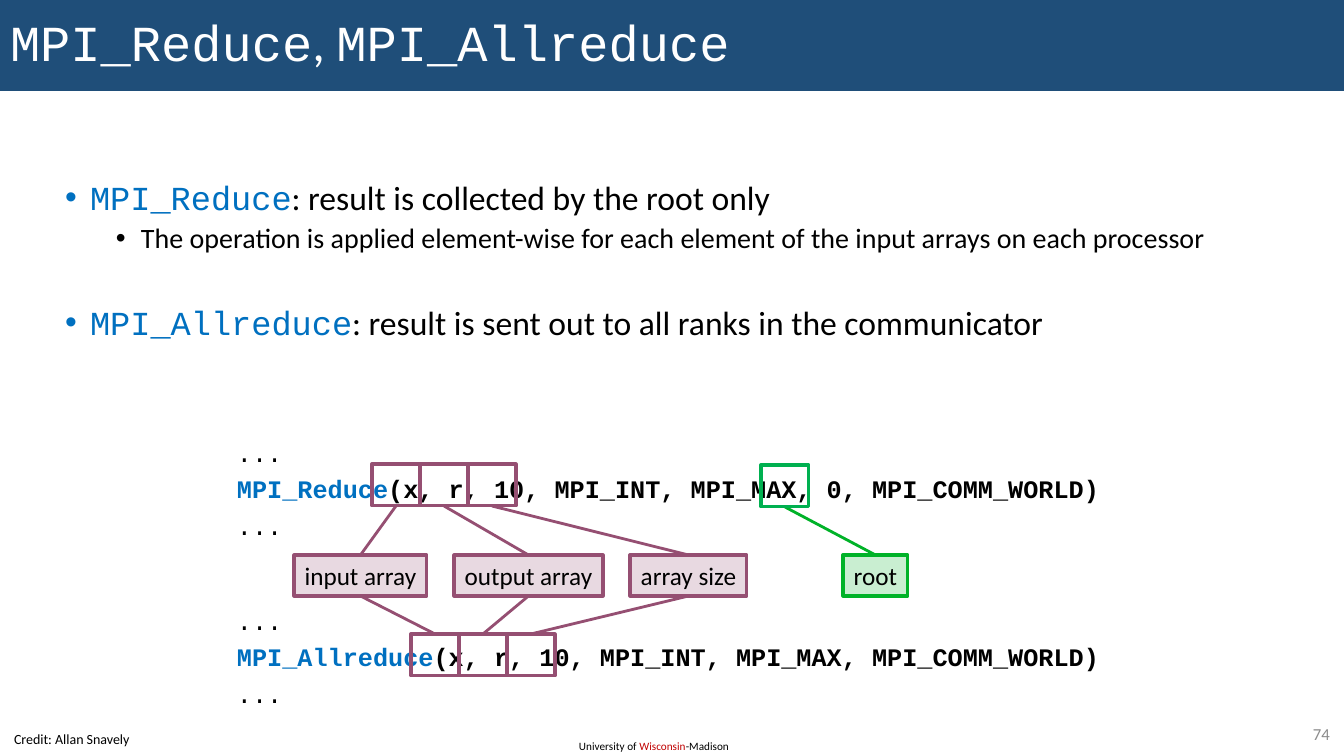
import pptx
import pptx.dml.color
import pptx.enum.shapes
import pptx.enum.text
import pptx.oxml.ns
import pptx.util
from lxml import etree

PX = 914400 / 100.8
SANS, MONO = "Calibri", "Courier New"
BLACK, WHITE, BLUE, NAVY = "000000", "FFFFFF", "0070C0", "1F4E79"
PLUM, GREEN, ROOT_CELL_GREEN = "954F72", "00B228", "00B050"
ALIGN = pptx.enum.text.PP_ALIGN
ANCHOR = pptx.enum.text.MSO_ANCHOR
qn = pptx.oxml.ns.qn


def px(*lengths):
    return [round(length * PX) for length in lengths]


def color(target, hex_code):
    target.rgb = pptx.dml.color.RGBColor.from_string(hex_code)


def fill_solid(shape, hex_code):
    shape.fill.solid()
    color(shape.fill.fore_color, hex_code)


def write(paragraph, pieces, size):
    """Add runs given as (text, font, colour, bold)."""
    for text, font, hex_code, bold in pieces:
        run = paragraph.add_run()
        run.text = text
        run.font.name = font
        run.font.size = pptx.util.Pt(size)
        run.font.bold = bold
        color(run.font.color, hex_code)


def place(shape, box):
    shape.left, shape.top, shape.width, shape.height = px(*box)


def set_frame(frame, margins=(10, 5), wrap=True, anchor=ANCHOR.TOP):
    frame.word_wrap = wrap
    frame.auto_size = pptx.enum.text.MSO_AUTO_SIZE.NONE
    frame.vertical_anchor = anchor
    frame.margin_left, frame.margin_top = px(*margins)
    frame.margin_right, frame.margin_bottom = px(*margins)


def add_note(slide, box, pieces, size, align=ALIGN.LEFT, anchor=ANCHOR.TOP):
    frame = slide.shapes.add_textbox(*px(*box)).text_frame
    set_frame(frame, anchor=anchor, wrap=False)
    frame.paragraphs[0].alignment = align
    write(frame.paragraphs[0], pieces, size)


def add_title(slide, box):
    title = slide.shapes.title
    place(title, box)
    fill_solid(title, NAVY)
    set_frame(title.text_frame, anchor=ANCHOR.MIDDLE)
    heading = title.text_frame.paragraphs[0]
    heading.alignment = ALIGN.LEFT
    heading.line_spacing = 0.9
    write(heading, [("MPI_Reduce", MONO, WHITE, False), (", ", SANS, WHITE, False),
                    ("MPI_Allreduce", MONO, WHITE, False)], 36)


def add_bullets(slide, box):
    body = slide.placeholders[1]
    place(body, box)
    set_frame(body.text_frame)
    # level, size, space before, indent, pieces
    points = [
        (0, 24, 0, 25, [("MPI_Reduce", MONO, BLUE, False),
                        (": result is collected by the root only", SANS, BLACK, False)]),
        (1, 20, 5, 76, [("The operation is applied element-wise for each element of the "
                         "input arrays on each processor", SANS, BLACK, False)]),
        (0, 24, 37, 25, [("MPI_Allreduce", MONO, BLUE, False),
                         (": result is sent out to all ranks in the communicator",
                          SANS, BLACK, False)]),
    ]
    for index, (level, size, before, indent, pieces) in enumerate(points):
        frame = body.text_frame
        point = frame.paragraphs[0] if index == 0 else frame.add_paragraph()
        point.level = level
        point.alignment = ALIGN.LEFT
        point.line_spacing = 0.9
        point.space_before = pptx.util.Pt(before)
        properties = point._p.get_or_add_pPr()
        properties.set("marL", str(px(indent)[0]))
        properties.set("indent", str(px(-25)[0]))
        etree.SubElement(properties, qn("a:buFont"), typeface="Arial")
        etree.SubElement(properties, qn("a:buChar"), char="•")
        write(point, pieces, size)


def add_code(slide, box, function, arguments):
    frame = slide.shapes.add_textbox(*px(*box)).text_frame
    set_frame(frame, margins=(0, 0))
    ellipsis = [("...", MONO, BLACK, False)]
    call = [(function, MONO, BLUE, True), (arguments, MONO, BLACK, True)]
    for index, pieces in enumerate([ellipsis, call, ellipsis]):
        line = frame.paragraphs[0] if index == 0 else frame.add_paragraph()
        line.space_before = pptx.util.Pt(4.5 if index else 0)
        write(line, pieces, 18)


def add_frame_box(slide, box, hex_code):
    shape = slide.shapes.add_shape(pptx.enum.shapes.MSO_SHAPE.RECTANGLE, *px(*box))
    shape.shadow.inherit = False
    shape.fill.background()
    shape.line.width = pptx.util.Pt(2.25)
    color(shape.line.color, hex_code)
    return shape


def add_label(slide, box, text, hex_code):
    label = add_frame_box(slide, box, hex_code)
    fill_solid(label, hex_code)
    tint = label.fill._xPr.find(qn("a:solidFill"))[0]
    etree.SubElement(tint, qn("a:alpha"), val="21000")
    set_frame(label.text_frame, wrap=False, anchor=ANCHOR.MIDDLE)
    label.text_frame.paragraphs[0].alignment = ALIGN.CENTER
    write(label.text_frame.paragraphs[0], [(text, SANS, BLACK, False)], 18)


def link(slide, upper, lower, hex_code):
    """Join the bottom centre of one box to the top centre of another."""
    line = slide.shapes.add_connector(
        pptx.enum.shapes.MSO_CONNECTOR.STRAIGHT,
        *px(upper[0] + upper[2] / 2, upper[1] + upper[3], lower[0] + lower[2] / 2, lower[1]))
    line.line.width = pptx.util.Pt(2)
    color(line.line.color, hex_code)
    etree.SubElement(line._element.spPr, qn("a:effectLst"))


def add_call_diagram(slide, box):
    left, top, width, _ = box
    add_code(slide, (left, top, width, 100), "MPI_Reduce",
             "(x, r, 10, MPI_INT, MPI_MAX, 0, MPI_COMM_WORLD)")
    add_code(slide, (left, top + 168, width, 100), "MPI_Allreduce",
             "(x, r, 10, MPI_INT, MPI_MAX, MPI_COMM_WORLD)")

    # Shared arguments, marked in both calls
    cell_width, cell_height = 48, 42
    label_top, label_height = top + 118, 41
    labels = [("input array", 57, 133), ("output array", 217, 149), ("array size", 393, 117)]
    for index, (text, offset, label_width) in enumerate(labels):
        step = index * cell_width
        reduce_cell = (left + 135 + step, top + 27, cell_width, cell_height)
        allreduce_cell = (left + 174 + step, top + 197, cell_width, cell_height)
        label_box = (left + offset, label_top, label_width, label_height)
        link(slide, reduce_cell, label_box, PLUM)
        link(slide, label_box, allreduce_cell, PLUM)
        add_label(slide, label_box, text, PLUM)
        add_frame_box(slide, reduce_cell, PLUM)
        add_frame_box(slide, allreduce_cell, PLUM)

    # Root, only in MPI_Reduce
    root_cell = (left + 524, top + 28, cell_width, cell_height)
    root_label = (left + 606, label_top, 65, label_height)
    link(slide, root_cell, root_label, GREEN)
    add_label(slide, root_label, "root", GREEN)
    add_frame_box(slide, root_cell, ROOT_CELL_GREEN)


def add_footer(slide, box):
    left, top, width, _ = box
    add_note(slide, (left + 4, top + 7, 138, 27),
             [("Credit: Allan Snavely", SANS, BLACK, False)], 10)
    add_note(slide, (left + 569, top + 15, 173, 24),
             [("University of ", SANS, BLACK, False), ("Wisconsin", SANS, "C00000", False),
              ("-Madison", SANS, BLACK, False)], 8)
    add_note(slide, (left + width - 81, top, 77, 29),
             [("74", SANS, "8C8C8C", False)], 12, ALIGN.RIGHT, ANCHOR.MIDDLE)


def main():
    deck = pptx.Presentation()
    deck.slide_width, deck.slide_height = px(1344, 756)
    slide = deck.slides.add_slide(deck.slide_layouts[1])
    add_title(slide, (0, 0, 1344, 91))
    add_bullets(slide, (55, 176, 1289, 209))
    add_call_diagram(slide, (237, 437, 887, 268))
    add_footer(slide, (0, 719, 1344, 37))
    deck.save("out.pptx")


if __name__ == "__main__":
    main()
